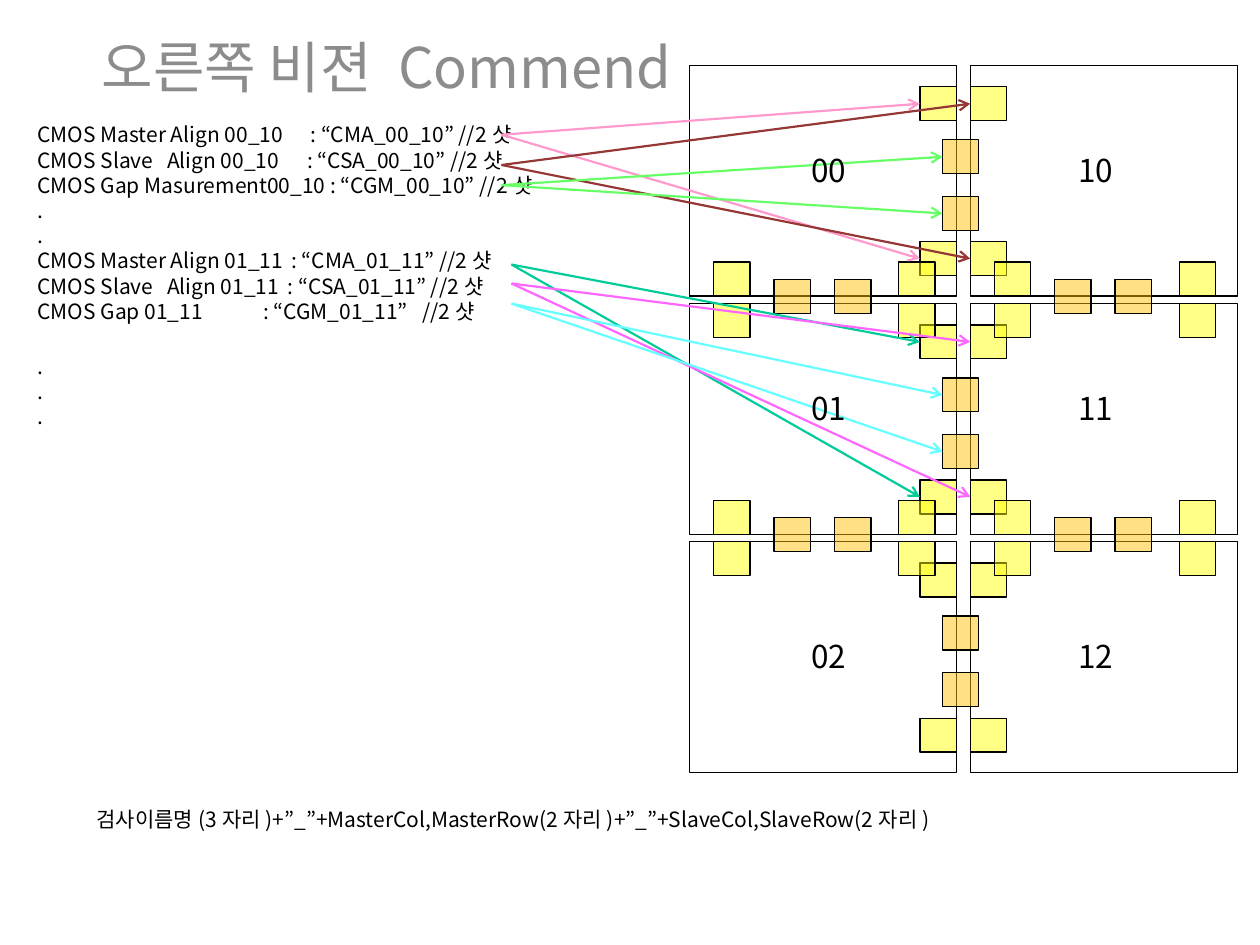
import pptx
import pptx.dml.color
import pptx.enum.shapes
import pptx.enum.text
import pptx.oxml
import pptx.oxml.ns
import pptx.util
from pptx.util import Pt

FONT = "Noto Sans CJK KR"
COLORS = {
    "black": "000000", "panel": "FFFFFF", "title": "8C8C8C",
    "align mark": "FFFF00", "gap mark": "FFC000",
    "pink": "FF99CC", "brown": "953735", "green": "66FF66",
    "teal": "00CC99", "magenta": "FF66FF", "cyan": "66FFFF",
}
NAMESPACE = pptx.oxml.ns.nsdecls("a")


def add_box(left, top, width, height, color, alpha=None):
    shape = slide.shapes.add_shape(
        pptx.enum.shapes.MSO_SHAPE.RECTANGLE, Pt(left), Pt(top), Pt(width), Pt(height))
    shape.shadow.inherit = False
    shape.fill.solid()
    shape.fill.fore_color.rgb = pptx.dml.color.RGBColor.from_string(COLORS[color])
    shape.line.color.rgb = pptx.dml.color.RGBColor.from_string(COLORS["black"])
    shape.line.width = Pt(0.75)
    if alpha:
        fill_color = shape.fill._xPr.find(".//" + pptx.oxml.ns.qn("a:srgbClr"))
        fill_color.append(pptx.oxml.parse_xml(f'<a:alpha {NAMESPACE} val="{alpha * 1000}"/>'))


def add_text(left, top, width, height, lines, size=12, color="black", align="LEFT", wrap=True):
    """Add a text box; each line is (text, tab stops in points, space before)."""
    frame = slide.shapes.add_textbox(Pt(left), Pt(top), Pt(width), Pt(height)).text_frame
    frame.word_wrap = wrap
    for index, (text, stops, space_before) in enumerate(lines):
        paragraph = frame.add_paragraph() if index else frame.paragraphs[0]
        paragraph.alignment = pptx.enum.text.PP_ALIGN[align]
        paragraph.line_spacing = Pt(size * 1.2)
        paragraph.space_before = Pt(space_before)
        if stops:
            tabs = "".join(f'<a:tab pos="{Pt(stop)}" algn="l"/>' for stop in stops)
            paragraph._p.get_or_add_pPr().append(
                pptx.oxml.parse_xml(f"<a:tabLst {NAMESPACE}>{tabs}</a:tabLst>"))
        run = paragraph.add_run()
        run.text = text
        run.font.size = Pt(size)
        run.font.name = FONT
        run.font.color.rgb = pptx.dml.color.RGBColor.from_string(COLORS[color])
        run._r.get_or_add_rPr().append(
            pptx.oxml.parse_xml(f'<a:ea {NAMESPACE} typeface="{FONT}"/>'))


presentation = pptx.Presentation()
presentation.slide_width = Pt(720)
presentation.slide_height = Pt(540)
slide = presentation.slides.add_slide(presentation.slide_layouts[6])

# Panels: two columns by three rows
PANEL_WIDTH, PANEL_HEIGHT = 152.6, 131.8
MARK_WIDTH, MARK_HEIGHT = 20.9, 19.4
column_lefts = [394, 554.4]
row_tops = [37.4 + 136.1 * row for row in range(3)]
last_row = len(row_tops) - 1
for top in row_tops:
    for left in column_lefts:
        add_box(left, top, PANEL_WIDTH, PANEL_HEIGHT, "panel")

# Marks: yellow inside the panel edges, orange across the gaps
marks = []
for row, top in enumerate(row_tops):
    for column, left in enumerate(column_lefts):
        inner_left = left if column else left + PANEL_WIDTH - MARK_WIDTH
        marks += [(inner_left, top + y, "align mark") for y in (12.2, 100.8)]
        for x in (13.7, 119.5):
            if row > 0:
                marks.append((left + x, top, "align mark"))
            if row < last_row:
                marks.append((left + x, top + PANEL_HEIGHT - MARK_HEIGHT, "align mark"))
        if row < last_row:
            marks += [(left + x, top + 122.4, "gap mark") for x in (48.2, 82.8)]
    marks += [(538.4, top + y, "gap mark") for y in (42.5, 74.9)]
for left, top, color in marks:
    add_box(left, top, MARK_WIDTH, MARK_HEIGHT, color, alpha=48)

# Title, command list and naming rule
add_text(0, 15.1, 442, 51.1, [("오른쪽 비젼 Commend", [], 0)], 32, "title", "CENTER")
dot = (".", [], 0)
add_text(14.4, 66.2, 329, 203.8, [
    ("CMOS Master Align 00_10\t: “CMA_00_10” //2샷", [156], 0),
    ("CMOS Slave\tAlign 00_10\t: “CSA_00_10” //2샷", [74, 154], 0),
    ("CMOS Gap Masurement00_10 : “CGM_00_10” //2샷", [], 0),
    dot, dot,
    ("CMOS Master Align 01_11\t: “CMA_01_11” //2샷", [145], 0),
    ("CMOS Slave\tAlign 01_11\t: “CSA_01_11” //2샷", [74, 143], 0),
    ("CMOS Gap 01_11\t: “CGM_01_11”\t//2샷", [129, 220], 0),
    (".", [], 17), dot, dot,
])
add_text(48.2, 457.2, 612, 21.6, [
    ("검사이름명(3자리)+”_”+MasterCol,MasterRow(2자리)+”_”+SlaveCol,SlaveRow(2자리)", [], 0)])

# Arrows: each command points at its two marks
ALIGN_CENTERS, GAP_CENTERS = (21.9, 110.4), (52.2, 84.6)
MASTER_EDGE, SLAVE_EDGE, GAP_EDGE = 525.6, 554.4, 538.6
commands = [
    ("pink", 286.6, 77, MASTER_EDGE, 0, ALIGN_CENTERS),
    ("brown", 286.6, 94.3, SLAVE_EDGE, 0, ALIGN_CENTERS),
    ("green", 286.6, 105.8, GAP_EDGE, 0, GAP_CENTERS),
    ("teal", 292.3, 151.2, MASTER_EDGE, 1, ALIGN_CENTERS),
    ("magenta", 292.3, 162, SLAVE_EDGE, 1, ALIGN_CENTERS),
    ("cyan", 292.3, 173.5, GAP_EDGE, 1, GAP_CENTERS),
]
for color, start_x, start_y, end_x, row, centers in commands:
    for center in centers:
        arrow = slide.shapes.add_connector(
            pptx.enum.shapes.MSO_CONNECTOR.STRAIGHT,
            Pt(start_x), Pt(start_y), Pt(end_x), Pt(row_tops[row] + center))
        arrow.line.color.rgb = pptx.dml.color.RGBColor.from_string(COLORS[color])
        arrow.line.width = Pt(1.25)
        arrow.line._get_or_add_ln().append(
            pptx.oxml.parse_xml(f'<a:tailEnd {NAMESPACE} type="arrow"/>'))
        arrow._element.spPr.append(pptx.oxml.parse_xml(f"<a:effectLst {NAMESPACE}/>"))

# Panel numbers: column digit, then row digit
for row, top in enumerate([82.8, 218.9, 360.7]):
    for column, left in enumerate([456.5, 609.1]):
        add_text(left, top, 34.6, 28.8, [(f"{column}{row}", [], 0)], 18, wrap=False)

presentation.save("out.pptx")
